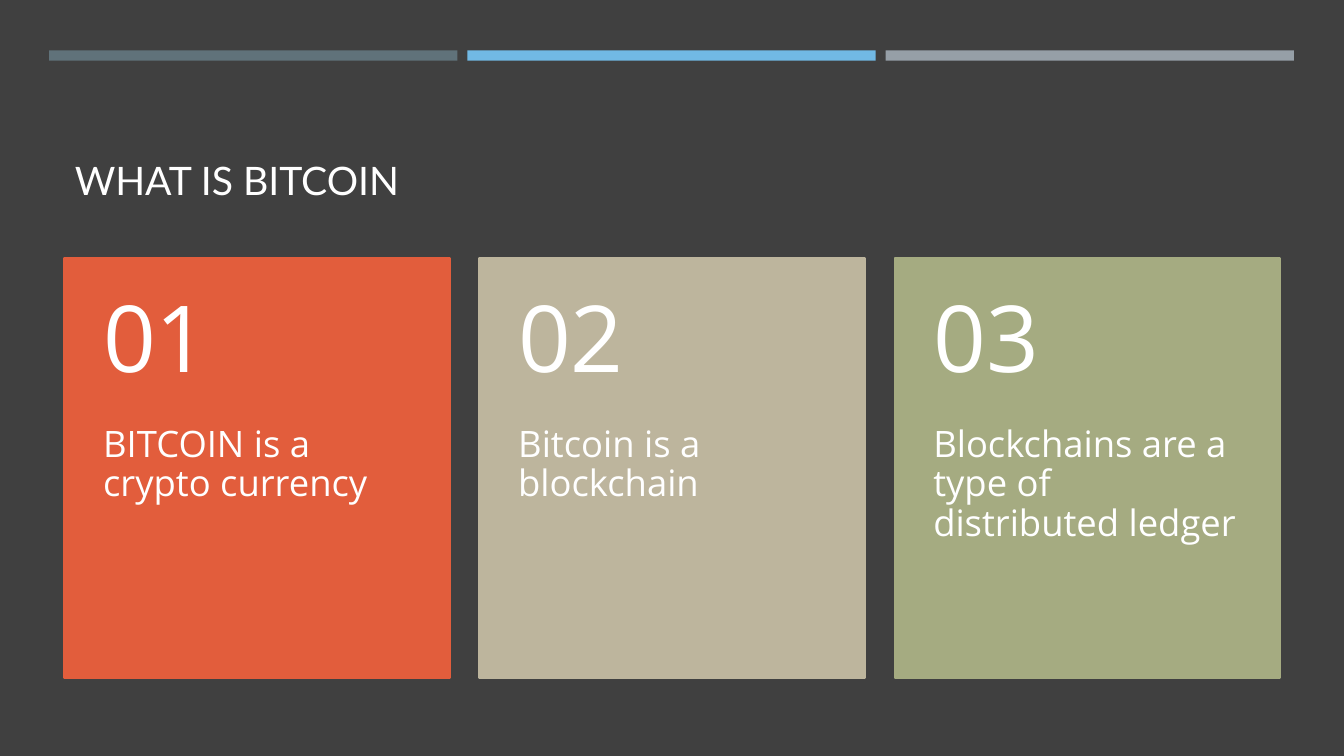
"""Build the "What is Bitcoin" slide with three numbered cards."""
import pptx
import pptx.dml.color
import pptx.enum.shapes
import pptx.enum.text
import pptx.util

Cm = pptx.util.Cm
Anchor = pptx.enum.text.MSO_ANCHOR

TITLE = "WHAT IS BITCOIN"
CARDS = [
    ("01", "BITCOIN is a crypto currency", "orange"),
    ("02", "Bitcoin is a blockchain", "sand"),
    ("03", "Blockchains are a type of distributed ledger", "green"),
]
BARS = ["slate", "sky", "silver"]
COLORS = {
    "background": "404040", "text": "FFFFFF",
    "slate": "60727A", "sky": "71B9E4", "silver": "969FA7",
    "orange": "E25D3C", "sand": "BDB59D", "green": "A5AB81",
}

BAR_LEFT, BAR_TOP, BAR_WIDTH, BAR_HEIGHT, BAR_GAP = 1.24, 1.27, 10.29, 0.26, 0.25
CARD_LEFT, CARD_TOP, CARD_WIDTH, CARD_GAP = 1.63, 6.5, 9.7, 0.76
NUMBER_HEIGHT, BODY_HEIGHT = 4.24, 6.35


def color(name):
    return pptx.dml.color.RGBColor.from_string(COLORS[name])


def add_block(slide, box, name, line_width=None):
    shape = slide.shapes.add_shape(
        pptx.enum.shapes.MSO_SHAPE.RECTANGLE, *map(Cm, box))
    shape.shadow.inherit = False
    shape.fill.solid()
    shape.fill.fore_color.rgb = color(name)
    if line_width:
        shape.line.color.rgb = color(name)
        shape.line.width = pptx.util.Pt(line_width)
    else:
        shape.line.fill.background()


def write(shape, text, font, size, anchor, insets=None, line_spacing=None):
    frame = shape.text_frame
    frame.text = text
    frame.word_wrap = True
    frame.auto_size = pptx.enum.text.MSO_AUTO_SIZE.NONE
    frame.vertical_anchor = anchor
    if insets:
        side, top, bottom = map(Cm, insets)
        frame.margin_left = frame.margin_right = side
        frame.margin_top, frame.margin_bottom = top, bottom
    paragraph = frame.paragraphs[0]
    paragraph.alignment = pptx.enum.text.PP_ALIGN.LEFT
    paragraph.line_spacing = line_spacing
    run = paragraph.runs[0]
    run.font.name = font
    run.font.size = pptx.util.Pt(size)
    run.font.color.rgb = color("text")


presentation = pptx.Presentation()
presentation.slide_width, presentation.slide_height = Cm(33.87), Cm(19.05)
slide = presentation.slides.add_slide(presentation.slide_layouts[5])
slide.background.fill.solid()
slide.background.fill.fore_color.rgb = color("background")

title = slide.shapes.title
title.left, title.top, title.width, title.height = map(Cm, (1.63, 1.96, 30.63, 3.3))
write(title, TITLE, "Lato", 28, Anchor.BOTTOM)

for index, name in enumerate(BARS):
    left = BAR_LEFT + index * (BAR_WIDTH + BAR_GAP)
    add_block(slide, (left, BAR_TOP, BAR_WIDTH, BAR_HEIGHT), name)

for index, (number, body, name) in enumerate(CARDS):
    left = CARD_LEFT + index * (CARD_WIDTH + CARD_GAP)
    add_block(slide, (left, CARD_TOP, CARD_WIDTH, NUMBER_HEIGHT + BODY_HEIGHT), name, 1.75)
    body_box = slide.shapes.add_textbox(
        *map(Cm, (left, CARD_TOP + NUMBER_HEIGHT, CARD_WIDTH, BODY_HEIGHT)))
    write(body_box, body, "Open Sans", 26, Anchor.TOP, (0.97, 0, 0.91), 0.9)
    number_box = slide.shapes.add_textbox(
        *map(Cm, (left, CARD_TOP, CARD_WIDTH, NUMBER_HEIGHT)))
    write(number_box, number, "Open Sans", 66, Anchor.MIDDLE, (0.97, 0.46, 0.46), 0.9)

presentation.save("out.pptx")
